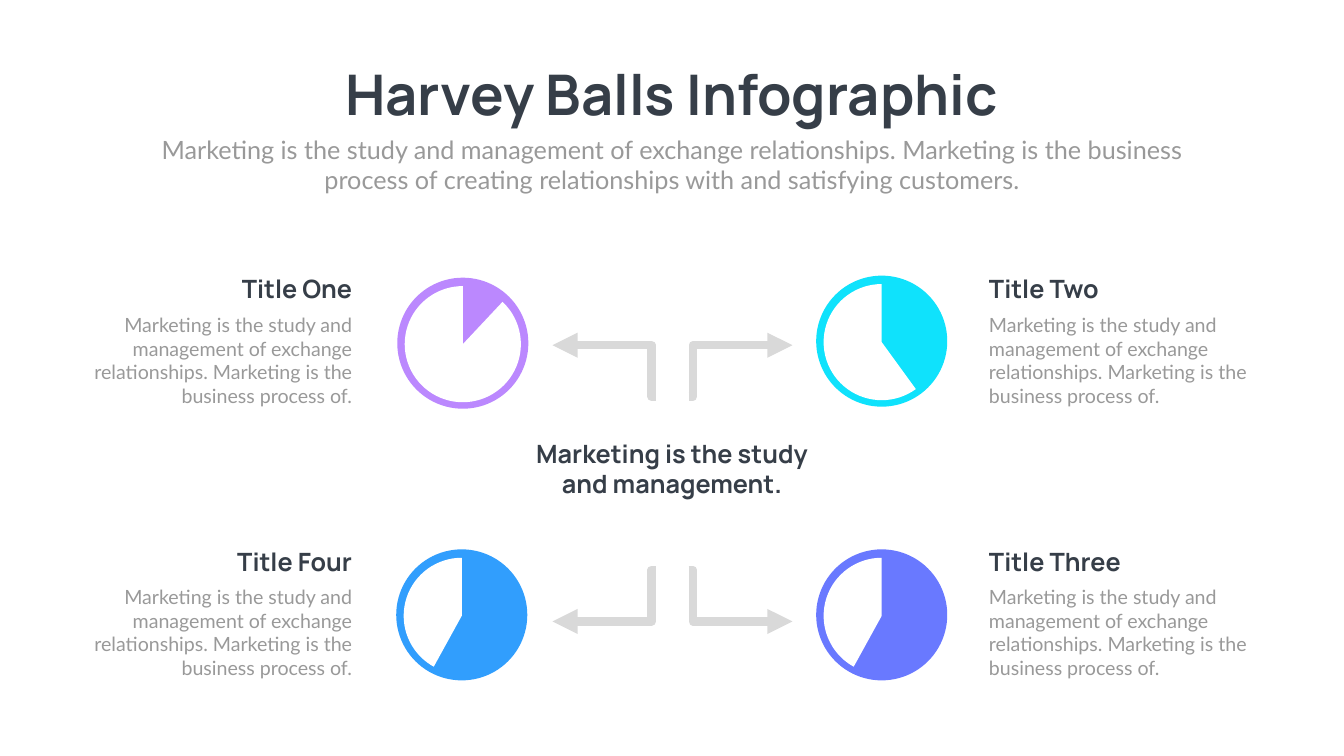
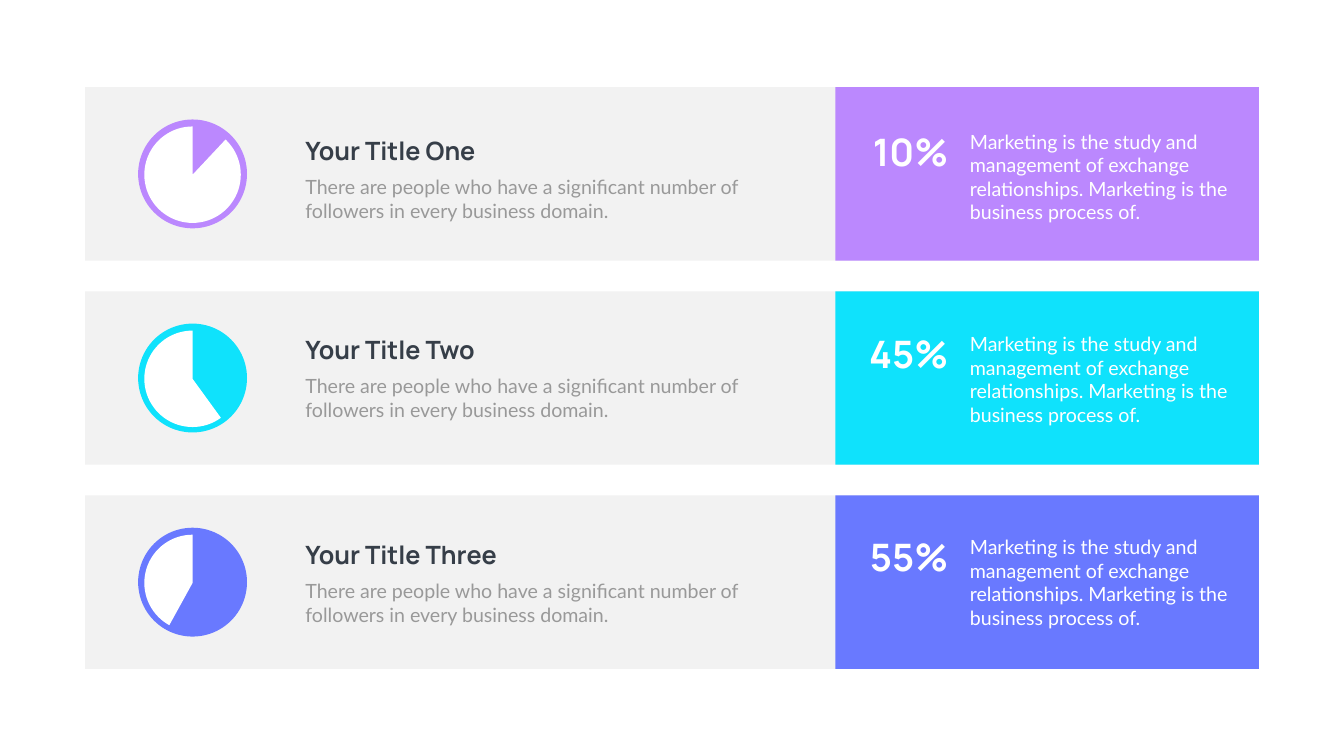
"""Builds two Harvey ball infographic slides."""
from dataclasses import dataclass

from lxml import etree
from pptx import Presentation
from pptx.chart.data import CategoryChartData
from pptx.dml.color import RGBColor
from pptx.enum.chart import XL_CHART_TYPE
from pptx.enum.shapes import MSO_CONNECTOR, MSO_SHAPE
from pptx.enum.text import MSO_AUTO_SIZE, PP_ALIGN
from pptx.oxml.ns import qn
from pptx.util import Pt

LEFT, CENTER, RIGHT = PP_ALIGN.LEFT, PP_ALIGN.CENTER, PP_ALIGN.RIGHT
PIE = XL_CHART_TYPE.PIE
ELBOW = MSO_CONNECTOR.ELBOW
OVAL, ROUNDED = MSO_SHAPE.OVAL, MSO_SHAPE.ROUNDED_RECTANGLE
FIT_SHAPE = MSO_AUTO_SIZE.SHAPE_TO_FIT_TEXT


@dataclass(frozen=True)
class Theme:
    dark: str = "363E48"
    gray: str = "999999"
    white: str = "FFFFFF"
    band: str = "F2F2F2"
    arrow: str = "D9D9D9"
    purple: str = "BB88FE"
    cyan: str = "0FE2FC"
    indigo: str = "6979FF"
    blue: str = "319EFD"
    head_font: str = "Manrope"
    body_font: str = "Lato"
    chart_font: str = "Calibri"
    title_size: int = 80
    percent_size: int = 54
    head_size: int = 36
    body_size: int = 28
    chart_size: int = 18


T = Theme()
BLURB = ("Marketing is the study and management of exchange relationships. "
         "Marketing is the business process of.")
DOMAIN = ("There are people who have a significant number of followers "
          "in every business domain.")


def add_text(shapes, text, x, y, w, h, *, size=T.body_size, font=T.body_font,
             color=T.gray, bold=False, align=LEFT):
    sp = shapes.add_textbox(Pt(x), Pt(y), Pt(w), Pt(h))
    tf = sp.text_frame
    tf.word_wrap = True
    tf.auto_size = FIT_SHAPE
    p = tf.paragraphs[0]
    p.alignment = align
    r = p.add_run()
    r.text = text
    r.font.size = Pt(size)
    r.font.name = font
    r.font.bold = bold
    r.font.color.rgb = RGBColor.from_string(color)


def add_ball(shapes, x, y, d, color, share):
    sp = shapes.add_shape(OVAL, Pt(x), Pt(y), Pt(d), Pt(d))
    sp.shadow.inherit = False
    sp.fill.solid()
    sp.fill.fore_color.rgb = RGBColor.from_string(color)
    sp.line.fill.background()

    data = CategoryChartData()
    data.categories = ["1", "2"]
    data.add_series("Series 1", [share, 100 - share])
    height = d * 0.985
    chart = shapes.add_chart(PIE, Pt(x), Pt(y + d - height), Pt(d), Pt(height), data).chart
    chart.has_title = False
    chart.has_legend = False
    chart.font.size = Pt(T.chart_size)
    chart.font.name = T.chart_font
    chart.font.color.rgb = RGBColor.from_string(T.gray)
    plot = chart.plots[0]
    plot.vary_by_categories = True
    filled, empty = (plot.series[0].points[i].format for i in range(2))
    filled.fill.background()
    empty.fill.solid()
    empty.fill.fore_color.rgb = RGBColor.from_string(T.white)
    for part in (filled, empty):
        part.line.fill.background()

    frame = chart.element.find(qn("c:chart"))
    area = frame.find(qn("c:plotArea"))
    for old in area.findall(qn("c:layout")):
        area.remove(old)
    layout = etree.Element(qn("c:layout"))
    manual = etree.SubElement(layout, qn("c:manualLayout"))
    for tag, val in (("layoutTarget", "inner"), ("xMode", "edge"), ("yMode", "edge"),
                     ("x", "0.05"), ("y", "0.05"), ("w", "0.9"), ("h", "0.9")):
        etree.SubElement(manual, qn(f"c:{tag}"), val=val)
    area.insert(0, layout)
    sp_pr = etree.Element(qn("c:spPr"))
    etree.SubElement(sp_pr, qn("a:noFill"))
    etree.SubElement(etree.SubElement(sp_pr, qn("a:ln")), qn("a:noFill"))
    frame.addnext(sp_pr)


HEAD = dict(size=T.head_size, font=T.head_font, color=T.dark, bold=True)

prs = Presentation()
prs.slide_width, prs.slide_height = Pt(1919.52), Pt(1080)
blank = prs.slide_layouts[6]

shapes = prs.slides.add_slide(blank).shapes
add_text(shapes, "Harvey Balls Infographic", 351.4, 82, 1216, 104.4,
         **{**HEAD, "size": T.title_size}, align=CENTER)
add_text(shapes, "Marketing is the study and management of exchange relationships. "
         "Marketing is the business process of creating relationships with and "
         "satisfying customers.", 210.2, 188, 1499, 94.3, size=T.head_size, align=CENTER)

quadrants = [
    ("Title One", T.purple, 12, 567.4, 396.7, 122.4, 387.4, RIGHT),
    ("Title Two", T.cyan, 40, 1165.7, 393.8, 1405.4, 387.4, LEFT),
    ("Title Three", T.indigo, 58, 1165.7, 784.8, 1405.4, 776.2, LEFT),
    ("Title Four", T.blue, 58, 565.9, 784.8, 122.4, 776.2, RIGHT),
]
for title, color, share, ball_x, ball_y, x, y, align in quadrants:
    add_ball(shapes, ball_x, ball_y, 187.2, color, share)
    add_text(shapes, title, x, y, 387.4, 51.1, align=align, **HEAD)
    add_text(shapes, BLURB, x, y + 56.2, 387.4, 143.3, align=align)

for start_x, end_x in ((936.7, 789.1), (983.5, 1131.8)):
    for start_y, end_y in ((566.6, 493.2), (814.3, 887.8)):
        arrow = shapes.add_connector(ELBOW, Pt(start_x), Pt(start_y), Pt(end_x), Pt(end_y))
        arrow.line.width = Pt(12)
        arrow.line.color.rgb = RGBColor.from_string(T.arrow)
        sp_pr = arrow.element.spPr
        etree.SubElement(sp_pr.find(qn("a:ln")), qn("a:tailEnd"), type="triangle")
        etree.SubElement(sp_pr, qn("a:effectLst"))
        bend = sp_pr.find(qn("a:prstGeom")).find(qn("a:avLst"))
        etree.SubElement(bend, qn("a:gd"), name="adj1", fmla="val 4100")

add_text(shapes, "Marketing is the study and management.", 753.1, 622.8, 413.3, 138.2,
         align=CENTER, **HEAD)

shapes = prs.slides.add_slide(blank).shapes
rows = [
    ("Your Title One", "10%", T.purple, 12, 190.1, 180),
    ("Your Title Two", "45%", T.cyan, 40, 474.5, 469.5),
    ("Your Title Three", "55%", T.indigo, 58, 767.5, 759.5),
]
for i, (title, percent, color, share, title_y, percent_y) in enumerate(rows):
    row_y = 124.6 + i * 291.6
    for x, w, fill in ((121.7, 1676.2, T.band), (1193, 604.8, color)):
        sp = shapes.add_shape(ROUNDED, Pt(x), Pt(row_y), Pt(w), Pt(247.7))
        sp.adjustments[0] = 0
        sp.shadow.inherit = False
        sp.fill.solid()
        sp.fill.fore_color.rgb = RGBColor.from_string(fill)
        sp.line.fill.background()
    ball, heading, detail = (shapes.add_group_shape().shapes for _ in range(3))
    add_ball(ball, 197.3, row_y + 46.1, 155.5, color, share)
    add_text(heading, DOMAIN, 429.1, title_y + 56.2, 646.6, 74.9)
    add_text(heading, title, 429.1, title_y, 604.8, 51.1, **HEAD)
    add_text(detail, BLURB, 1378.1, percent_y + 1.4, 385.2, 143.3, color=T.white)
    add_text(detail, percent, 1207.4, percent_y, 154.1, 72.7, size=T.percent_size,
             font=T.head_font, color=T.white, bold=True, align=RIGHT)

prs.save("out.pptx")
